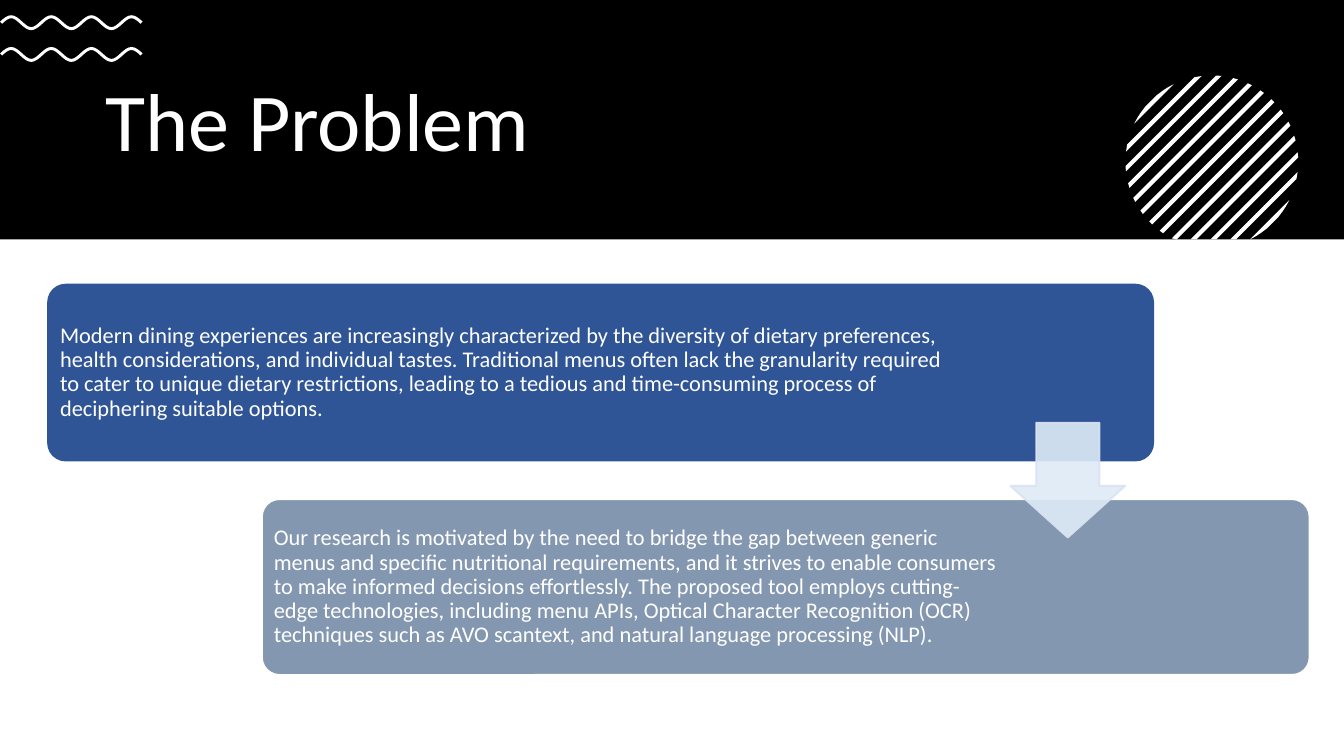
from math import cos, hypot, pi, sin, sqrt
from pptx import Presentation
from pptx.dml.color import RGBColor
from pptx.enum import shapes as kinds, text as modes
from pptx.oxml.ns import qn
from pptx.util import Pt

WIDE, HIGH, BAND = 720, 405, 128.3
TITLE = "The Problem"
CARDS = [
    {"at": (25.8, 152.5, 592, 94.2), "wide": 489.5, "fill": "2F5597", "line": "2F5597",
     "words": "Modern dining experiences are increasingly characterized by the diversity of "
              "dietary preferences, health considerations, and individual tastes. Traditional "
              "menus often lack the granularity required to cater to unique dietary "
              "restrictions, leading to a tedious and time-consuming process of deciphering "
              "suitable options."},
    {"at": (140.3, 267.4, 561.3, 94.2), "wide": 395, "fill": "8497B0", "line": "FFFFFF",
     "words": "Our research is motivated by the need to bridge the gap between generic menus "
              "and specific nutritional requirements, and it strives to enable consumers to "
              "make informed decisions effortlessly. The proposed tool employs cutting-edge "
              "technologies, including menu APIs, Optical Character Recognition (OCR) "
              "techniques such as AVO scantext, and natural language processing (NLP)."},
]
ARROW = (541.3, 226.5, 61.5, 61.5)
WAVES = {"tops": (29.2, 12.2), "start": 0.6, "period": 21.5, "turns": 14,
         "rise": 3.2, "thick": 1.6}
DISC = {"x": 649.2, "y": 86.7, "r": 46.3, "gap": 10.6, "half": 1.6, "side": 6}


def hue(code):
    return RGBColor.from_string(code)


def paint(shape, fill, line=None):
    shape.shadow.inherit = False
    shape.fill.solid()
    shape.fill.fore_color.rgb = hue(fill)
    if line:
        shape.line.color.rgb = hue(line)
        shape.line.width = Pt(1)
    else:
        shape.line.fill.background()


def block(kind, at, fill, line=None, adjust=()):
    shape = slide.shapes.add_shape(kind, *map(Pt, at))
    for i, value in enumerate(adjust):
        shape.adjustments[i] = value
    paint(shape, fill, line)
    return shape


def outline(points, fill):
    dots = [(x * 100, y * 100) for x, y in points]
    maker = slide.shapes.build_freeform(*dots[0], scale=127)
    maker.add_line_segments(dots[1:], close=True)
    shape = maker.convert_to_shape()
    paint(shape, fill)
    return shape


def bend(shape, first, count):
    lines = list(shape._element.iter(qn("a:lnTo")))[first:first + 3 * count]
    for i in range(0, len(lines), 3):
        curve = lines[i].makeelement(qn("a:cubicBezTo"), {})
        lines[i].addprevious(curve)
        for line in lines[i:i + 3]:
            curve.append(line[0])
            line.getparent().remove(line)


def write(at, words, size, pads):
    frame = slide.shapes.add_textbox(*map(Pt, at)).text_frame
    look = {"word_wrap": True, "vertical_anchor": modes.MSO_ANCHOR.MIDDLE}
    for side, pad in zip(("left", "right", "top", "bottom"), pads):
        look["margin_" + side] = Pt(pad)
    for key, value in look.items():
        setattr(frame, key, value)
    para = frame.paragraphs[0]
    para.line_spacing = 0.9
    run = para.add_run()
    run.text = words
    for key, value in {"name": "Calibri", "size": Pt(size)}.items():
        setattr(run.font, key, value)
    run.font.color.rgb = hue("FFFFFF")


def edge(mid, side):
    w = WAVES
    knots = []
    for i in range(w["turns"] + 1):
        angle = (i - 1) * pi / 2
        slope = w["rise"] * 2 * pi / w["period"] * sin(angle)
        reach = side * w["thick"] / 2 / hypot(1, slope)
        x = w["start"] + i * w["period"] / 4 + slope * reach
        knots.append((x, mid - w["rise"] * cos(angle) - reach, slope))
    dots = [knots[0][:2]]
    for (x, y, a), (u, v, b) in zip(knots, knots[1:]):
        third = (u - x) / 3
        dots += [(x + third, y + a * third), (u - third, v - b * third), (u, v)]
    return dots


def wave(mid):
    shape = outline(edge(mid, 1) + edge(mid, -1)[::-1], "FFFFFF")
    count = WAVES["turns"]
    bend(shape, 0, count)
    bend(shape, 1, count)


def stripe(place):
    d = DISC
    steps = 4 if abs(place) == d["side"] else 1
    right, left = [], []
    for i in range(steps + 1):
        shift = place * d["gap"] + d["half"] * (2 * i / steps - 1)
        chord = sqrt(max(0, 2 * d["r"] ** 2 - shift ** 2))
        right.append((d["x"] + (shift + chord) / 2, d["y"] + (shift - chord) / 2))
        x, y = d["x"] + (shift - chord) / 2, d["y"] + (shift + chord) / 2
        over = max(0, y - BAND)
        left.append((x + over, y - over))
    return right + left[::-1]


deck = Presentation()
deck.slide_width, deck.slide_height = Pt(WIDE), Pt(HIGH)
slide = deck.slides.add_slide(deck.slide_layouts[6])
form = kinds.MSO_SHAPE

block(form.RECTANGLE, (0, 0, WIDE, BAND), "000000")
write((49.5, 34, 621, 66), TITLE, 44, (7.2, 7.2, 3.6, 3.6))
for mid in WAVES["tops"]:
    wave(mid)
for place in range(-DISC["side"], DISC["side"] + 1):
    outline(stripe(place), "FFFFFF")

for card in CARDS:
    left, top, wide, high = card["at"]
    block(form.ROUNDED_RECTANGLE, card["at"], card["fill"], card["line"], (0.1,))
    inset = 2.8
    area = (left + inset, top + inset, card["wide"], high - 2 * inset)
    write(area, card["words"], 12, (3.6,) * 4)

arrow = block(form.DOWN_ARROW, ARROW, "DEEBF7", "DAE3F3", (0.55, 0.45))
for color in arrow._element.spPr.iter(qn("a:srgbClr")):
    color.append(color.makeelement(qn("a:alpha"), {"val": "90000"}))

deck.save("out.pptx")
